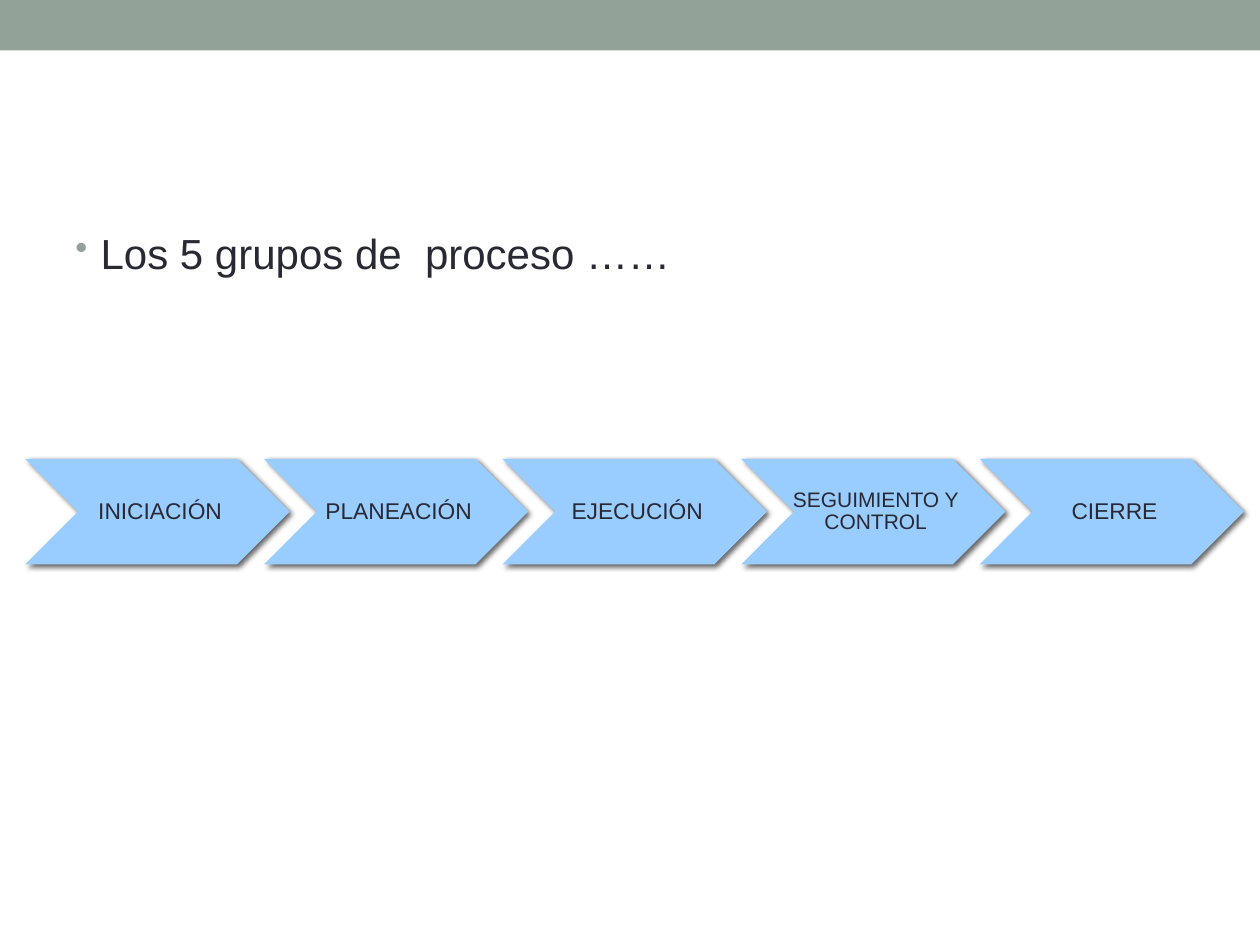
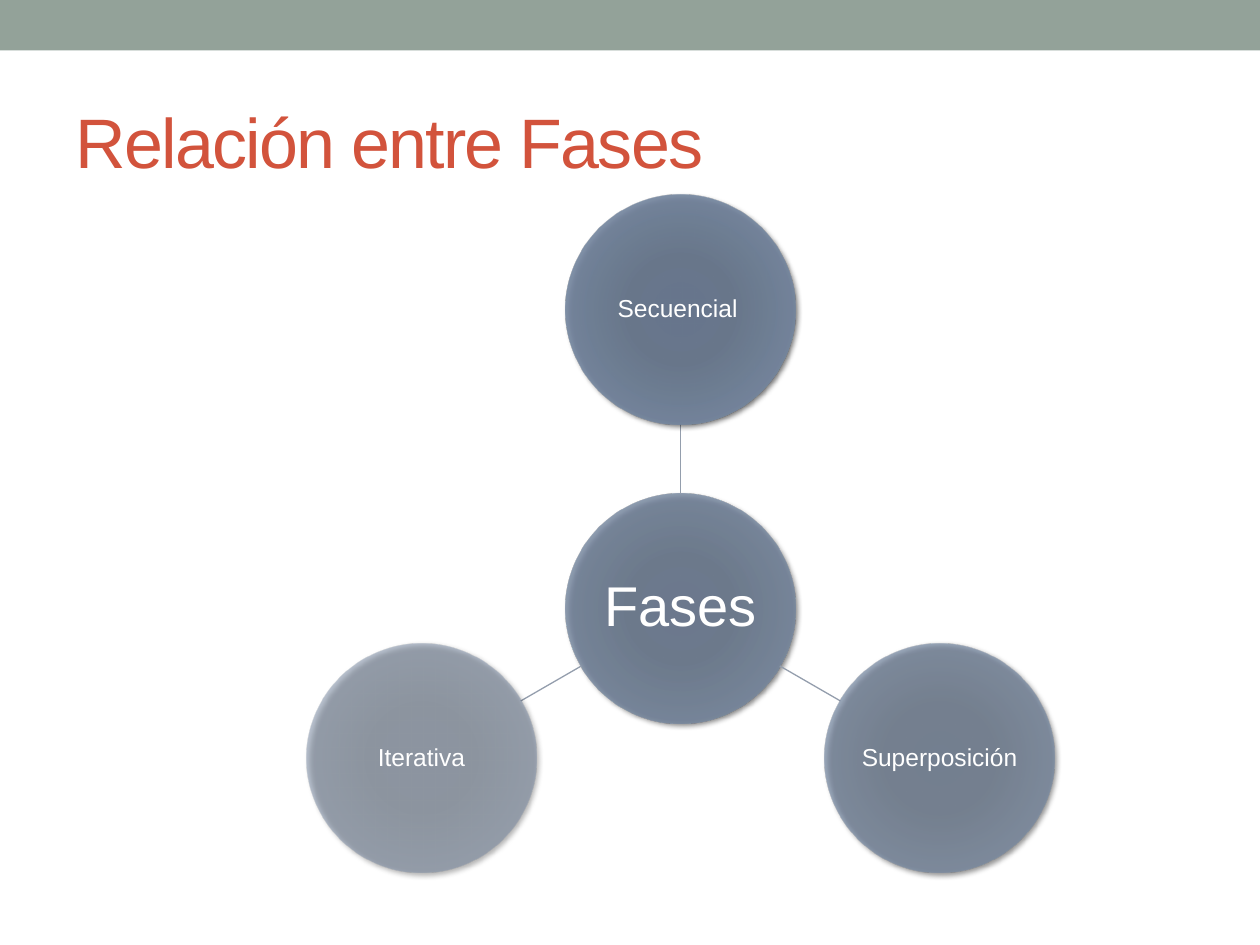
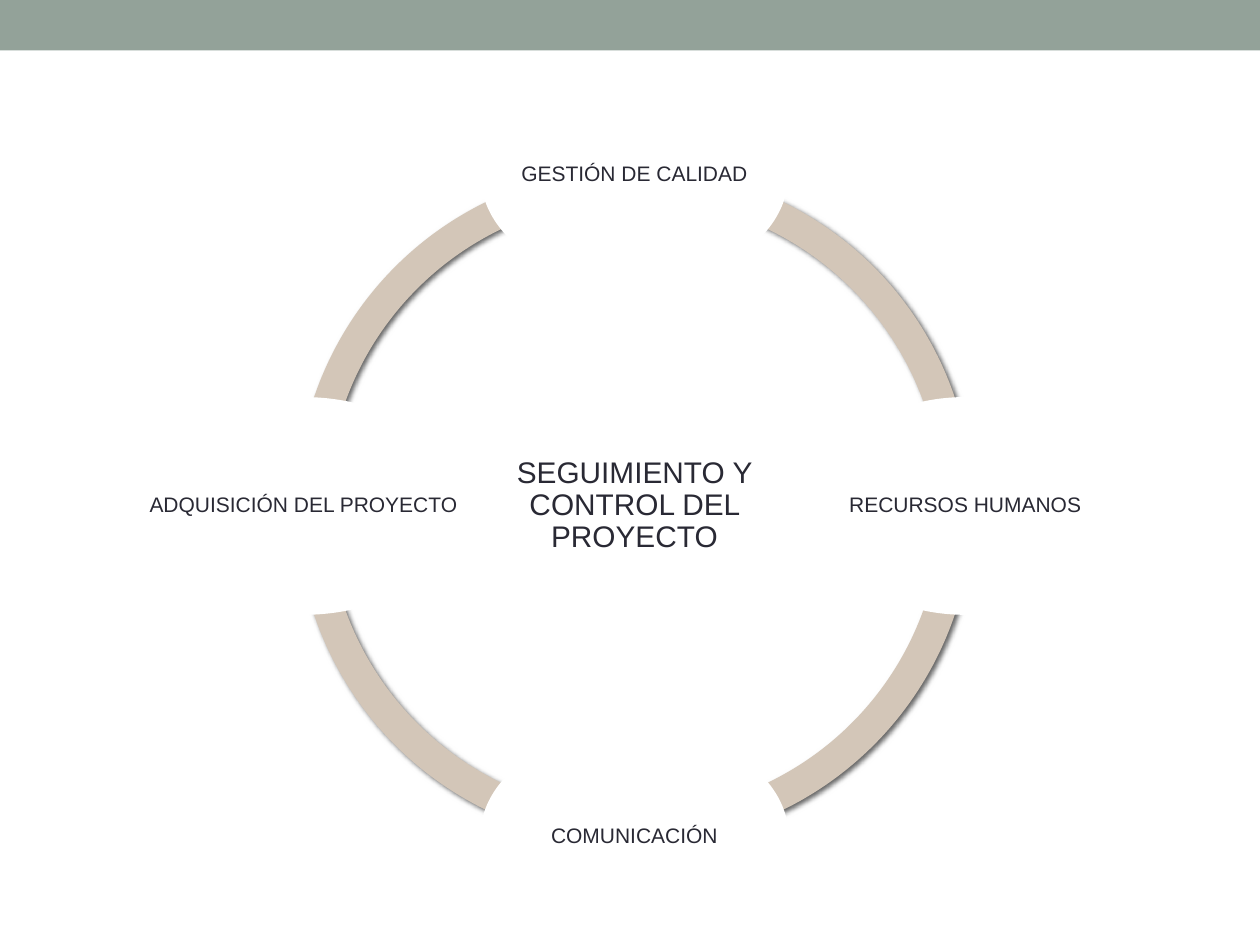
from math import cos, radians, sin

from pptx import Presentation
from pptx.dml.color import RGBColor
from pptx.enum.shapes import MSO_CONNECTOR, MSO_SHAPE
from pptx.enum.text import MSO_ANCHOR, PP_ALIGN
from pptx.oxml import parse_xml
from pptx.oxml.ns import nsdecls, qn
from pptx.oxml.xmlchemy import OxmlElement
from pptx.util import Cm, Pt

COLORS = {
    "band": "93A299",
    "title": "D2533C",
    "ink": "292934",
    "white": "FFFFFF",
    "step": "99CCFF",
    "link": "949EAD",
    "ring": "D3C6B8",
}
FONT = "Arial"
SLIDE_WIDTH, SLIDE_HEIGHT = 25.4, 19.05
SPHERE_STOPS = [(0, "677790"), (34, "68788E"), (70, "74869F"), (100, "808DA0")]

STEPS = [("INICIACIÓN", 13), ("PLANEACIÓN", 13), ("EJECUCIÓN", 13),
         ("SEGUIMIENTO Y CONTROL", 12), ("CIERRE", 13)]
PHASES = [("Secuencial\t", -90, 90), ("Superposición", 30, 70), ("Iterativa", 150, 50)]
AREAS = [("GESTIÓN DE CALIDAD", -90, 6.2), ("RECURSOS HUMANOS", 0, 6.02),
         ("COMUNICACIÓN", 90, 6.22), ("ADQUISICIÓN DEL PROYECTO", 180, 6.35)]


def rgb(name):
    """Return the named palette colour."""
    return RGBColor.from_string(COLORS[name])


def around(center, angle, distance):
    """Return the point at an angle and distance from a center."""
    turn = radians(angle)
    return center[0] + distance * cos(turn), center[1] + distance * sin(turn)


def centered(center, width, height):
    """Return the box of a given size about a center."""
    return center[0] - width / 2, center[1] - height / 2, width, height


def write(slide, box, text, size, color="ink", align=PP_ALIGN.LEFT,
          anchor=MSO_ANCHOR.MIDDLE, insets=(0.25, 0.13, 0.25, 0.13),
          line_spacing=None, space_before=0, tracking=None, bullet=None):
    """Place formatted text in a box and return its paragraph."""
    frame = slide.shapes.add_textbox(*map(Cm, box)).text_frame
    frame.word_wrap = True
    frame.vertical_anchor = anchor
    (frame.margin_left, frame.margin_top,
     frame.margin_right, frame.margin_bottom) = map(Cm, insets)
    paragraph = frame.paragraphs[0]
    paragraph.alignment = align
    paragraph.space_before = Pt(space_before)
    if line_spacing:
        paragraph.line_spacing = line_spacing
    run = paragraph.add_run()
    run.text = text
    run.font.name = FONT
    run.font.size = Pt(size)
    run.font.color.rgb = rgb(color)
    if tracking:
        run.font._element.set("spc", str(tracking * 100))
    if bullet:
        add_bullet(paragraph, bullet)


def add_bullet(paragraph, color):
    """Give a paragraph a hanging round bullet."""
    properties = paragraph._p.get_or_add_pPr()
    properties.set("marL", str(Cm(0.51)))
    properties.set("indent", str(-Cm(0.51)))
    bullet_color = OxmlElement("a:buClr")
    bullet_color.append(parse_xml(f'<a:srgbClr {nsdecls("a")} val="{COLORS[color]}"/>'))
    bullet_size = OxmlElement("a:buSzPct")
    bullet_size.set("val", "85000")
    bullet_mark = OxmlElement("a:buChar")
    bullet_mark.set("char", "•")
    properties.extend([bullet_color, bullet_size, bullet_mark])


def label(slide, box, text, size, color="ink", insets=(0.05,) * 4):
    """Center a diagram label in a box."""
    write(slide, box, text, size, color=color, insets=insets,
          align=PP_ALIGN.CENTER, line_spacing=0.9)


def draw(slide, preset, box, color, shadow=False):
    """Draw a borderless preset shape."""
    figure = slide.shapes.add_shape(preset, *map(Cm, box))
    figure.fill.solid()
    figure.fill.fore_color.rgb = rgb(color)
    figure.line.fill.background()
    figure.shadow.inherit = False
    if shadow:
        figure._element.spPr.find(qn("a:effectLst")).append(parse_xml(
            f'<a:outerShdw {nsdecls("a")} blurRad="{Pt(3)}" dist="{Pt(2)}" '
            'dir="2700000" algn="ctr" rotWithShape="0"><a:srgbClr val="000000">'
            '<a:alpha val="60000"/></a:srgbClr></a:outerShdw>'))
    return figure


def sphere(slide, center, radius, text, size, opacity):
    """Draw a translucent shaded circle with its label."""
    box = centered(center, 2 * radius, 2 * radius)
    ball = draw(slide, MSO_SHAPE.OVAL, box, "link", shadow=True)
    stops = "".join(
        f'<a:gs pos="{position * 1000}"><a:srgbClr val="{shade}">'
        f'<a:alpha val="{opacity * 1000}"/></a:srgbClr></a:gs>'
        for position, shade in SPHERE_STOPS)
    properties = ball._element.spPr
    properties.replace(properties.find(qn("a:solidFill")), parse_xml(
        f'<a:gradFill {nsdecls("a")} rotWithShape="1"><a:gsLst>{stops}</a:gsLst>'
        '<a:path path="circle"><a:fillToRect l="100000" t="100000" r="100000" '
        'b="100000"/></a:path></a:gradFill>'))
    label(slide, box, text, size, color="white", insets=(0.03,) * 4)


def link(slide, start, end):
    """Join two points with a thin line."""
    joint = slide.shapes.add_connector(MSO_CONNECTOR.STRAIGHT, *map(Cm, start + end))
    joint.line.color.rgb = rgb("link")
    joint.line.width = Pt(0.75)
    joint._element.spPr.append(OxmlElement("a:effectLst"))


def new_slide(deck):
    """Add a blank slide with the top band."""
    slide = deck.slides.add_slide(deck.slide_layouts[6])
    draw(slide, MSO_SHAPE.RECTANGLE, (0, 0, SLIDE_WIDTH, 1.02), "band")
    return slide


def build_process_groups(deck):
    """Show the five process groups as a row of chevrons."""
    slide = new_slide(deck)
    write(slide, (1.27, 4.45, 22.86, 3.07), "Los 5 grupos de  proceso ……", 24,
          anchor=MSO_ANCHOR.TOP, space_before=3, bullet="band")
    for index, (step, size) in enumerate(STEPS):
        box = (0.51 + 4.81 * index, 9.25, 5.33, 2.13)
        draw(slide, MSO_SHAPE.CHEVRON, box, "step", shadow=True)
        label(slide, box, step, size, insets=(0.15, 0.05, 0.05, 0.05))


def build_phase_relations(deck):
    """Show the kinds of phase relation around a hub."""
    slide = new_slide(deck)
    write(slide, (1.27, 1.47, 22.86, 2.74), "Relación entre Fases", 40,
          color="title", tracking=-1)
    hub, radius, reach = (13.72, 12.27), 2.31, 6.03
    sphere(slide, hub, radius, "Fases", 32, 80)
    for phase, angle, opacity in PHASES:
        link(slide, around(hub, angle, radius), around(hub, angle, reach - radius))
        sphere(slide, around(hub, angle, reach), radius, phase, 14, opacity)


def build_project_control(deck):
    """Show project control ringed by its management areas."""
    slide = new_slide(deck)
    hub, ring_size, core_size = (12.79, 10.2), 13.64, 6.27
    for start in (180, 90, 0, 270):
        arc = draw(slide, MSO_SHAPE.BLOCK_ARC, centered(hub, ring_size, ring_size),
                   "ring", shadow=True)
        arc.adjustments[0] = start * 0.6
        arc.adjustments[1] = (start + 90) % 360 * 0.6
        arc.adjustments[2] = 0.046
    core = centered(hub, core_size, core_size)
    draw(slide, MSO_SHAPE.OVAL, core, "white")
    label(slide, core, "SEGUIMIENTO Y CONTROL DEL PROYECTO", 17)
    for area, angle, width in AREAS:
        box = centered(around(hub, angle, 6.67), width, 4.39)
        draw(slide, MSO_SHAPE.OVAL, box, "white")
        label(slide, box, area, 12)


def main():
    """Build and save the presentation."""
    deck = Presentation()
    deck.slide_width, deck.slide_height = Cm(SLIDE_WIDTH), Cm(SLIDE_HEIGHT)
    build_process_groups(deck)
    build_phase_relations(deck)
    build_project_control(deck)
    deck.save("out.pptx")


if __name__ == "__main__":
    main()
